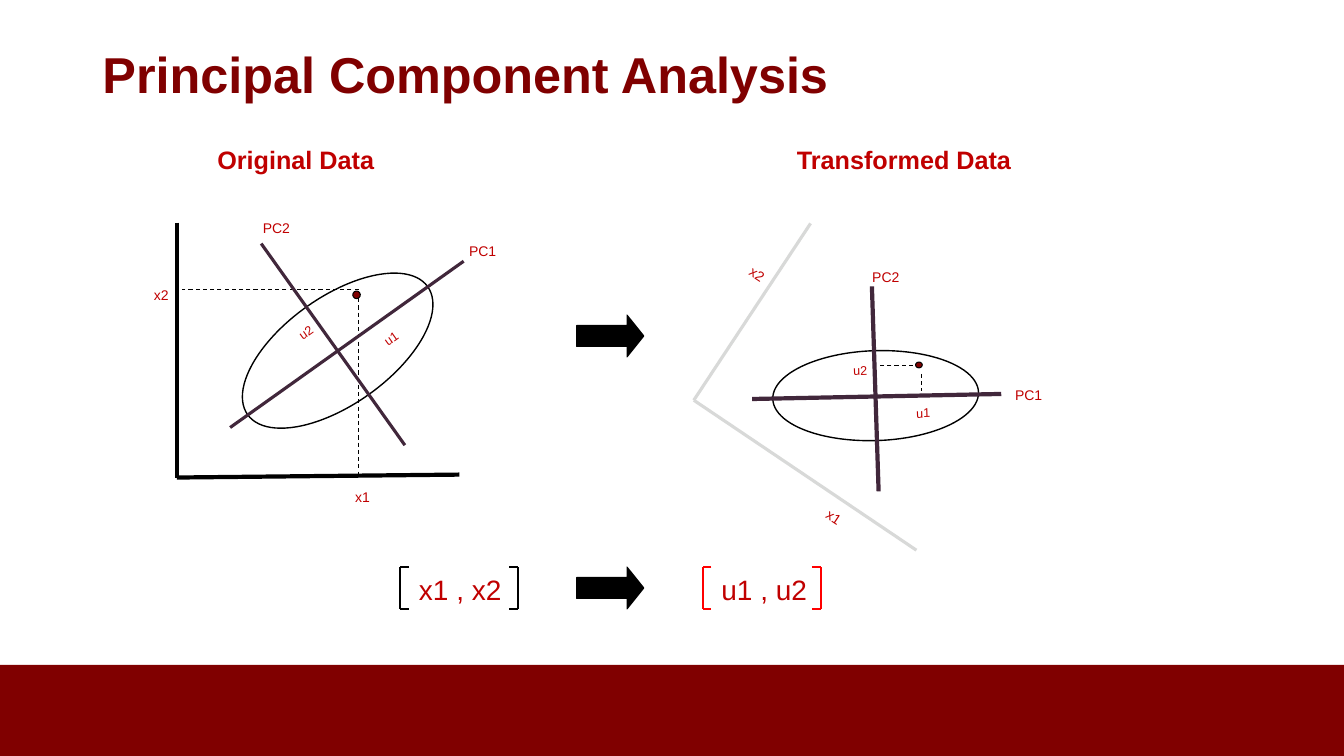
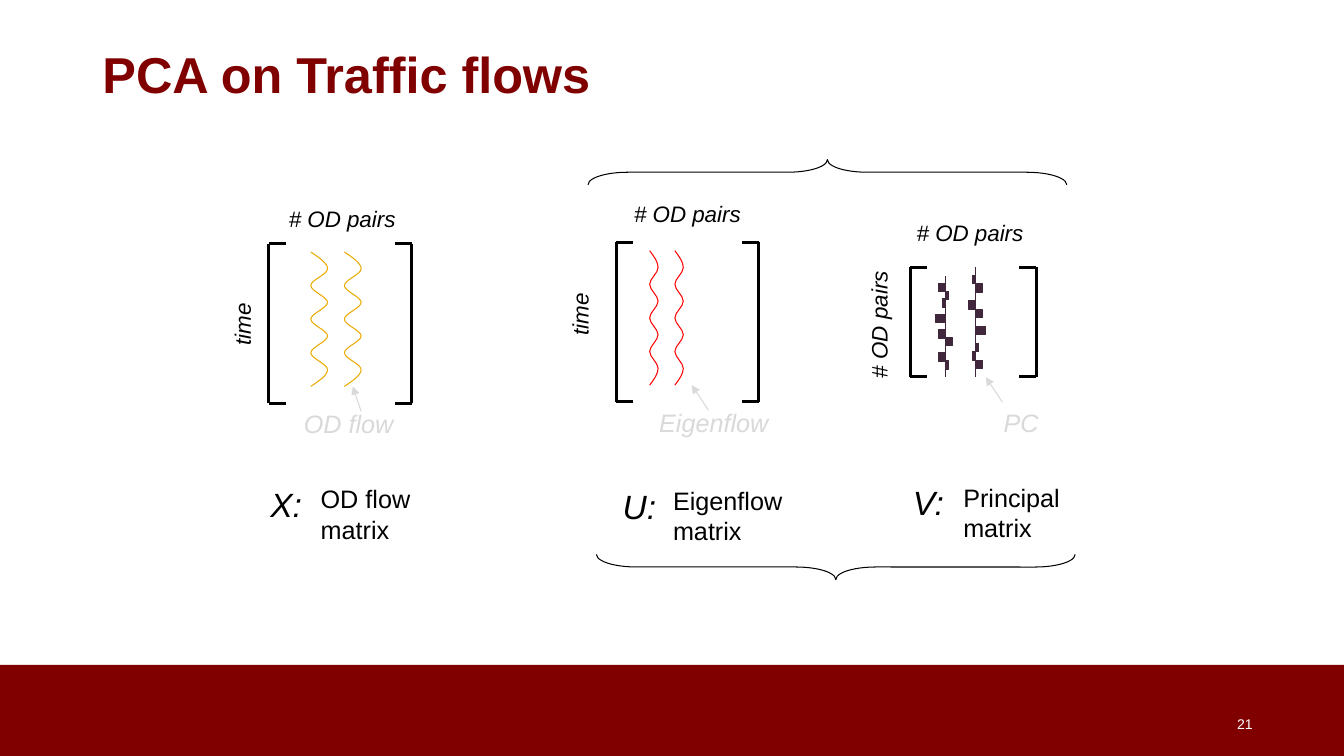
from itertools import pairwise

from lxml import etree
from pptx import Presentation
from pptx.dml.color import RGBColor
from pptx.enum.dml import MSO_LINE
from pptx.enum.shapes import MSO_CONNECTOR, MSO_SHAPE
from pptx.enum.text import MSO_ANCHOR, PP_ALIGN
from pptx.oxml.ns import qn
from pptx.util import Inches, Pt

WIDE, HIGH = 160, 90
CELL = Inches(7.5) / HIGH
FONT = "Arial"
MAROON, RED, BRIGHT = "800000", "C00000", "FF0000"
PLUM, GREY, GOLD = "41273B", "D8D9D8", "EAAA00"
BLACK, WHITE = "000000", "FFFFFF"
LEFT, MID, RIGHT = PP_ALIGN.LEFT, PP_ALIGN.CENTER, PP_ALIGN.RIGHT
TOP, CENTRE = MSO_ANCHOR.TOP, MSO_ANCHOR.MIDDLE
DASH, LINE = MSO_LINE.DASH, MSO_CONNECTOR.STRAIGHT
RECT, OVAL = MSO_SHAPE.RECTANGLE, MSO_SHAPE.OVAL
ARROW, BRACE = MSO_SHAPE.RIGHT_ARROW, MSO_SHAPE.RIGHT_BRACE
TILT, SLANT, LEAN = 324.6, 33.5, 358.1


def hue(code):
    """Turn a hex string into a colour."""
    return RGBColor.from_string(code)


def cells(*counts):
    """Turn counts of grid cells into lengths."""
    return [round(count * CELL) for count in counts]


def style(frame, words, size=10, color=BLACK, bold=False, italic=False,
          align=LEFT, anchor=TOP, wrap=False, inset=True):
    """Fill a text frame with formatted words."""
    frame.text = words
    frame.word_wrap = wrap
    frame.vertical_anchor = anchor
    if not inset:
        frame.margin_left = frame.margin_right = 0
        frame.margin_top = frame.margin_bottom = 0
    for para in frame.paragraphs:
        para.alignment = align
        font = para.font
        font.name, font.size = FONT, Pt(size)
        font.bold, font.italic = bold, italic
        font.color.rgb = hue(color)


def text(slide, words, box, turn=0, **look):
    """Add a text box."""
    item = slide.shapes.add_textbox(*cells(*box))
    item.rotation = turn
    style(item.text_frame, words, **look)


def tag(slide, words, x, y, wide=4, **look):
    """Add a short label centred on a point."""
    text(slide, words, (x - wide / 2, y - 1, wide, 2),
         align=MID, anchor=CENTRE, inset=False, **look)


def paint(item, fill=None, line=None, width=0.75):
    """Set the fill and outline of a shape."""
    item.shadow.inherit = False
    if fill:
        item.fill.solid()
        item.fill.fore_color.rgb = hue(fill)
    else:
        item.fill.background()
    if line:
        item.line.color.rgb = hue(line)
        item.line.width = Pt(width)
    else:
        item.line.fill.background()


def shape(slide, kind, box, turn=0, bends=(), **look):
    """Add a preset shape."""
    item = slide.shapes.add_shape(kind, *cells(*box))
    item.rotation = turn
    for index, bend in enumerate(bends):
        item.adjustments[index] = bend
    paint(item, **look)


def oval(slide, x, y, w, h, turn, **look):
    """Add a turned ellipse centred on a point."""
    shape(slide, OVAL, (x - w / 2, y - h / 2, w, h), turn, line=BLACK, **look)


def trace(slide, *spots, color=BLACK, width=0.75, dash=False, head=False):
    """Join a row of points with straight lines."""
    for start, end in pairwise(spots):
        link = slide.shapes.add_connector(LINE, *cells(*start, *end))
        link.line.color.rgb = hue(color)
        link.line.width = Pt(width)
        if dash:
            link.line.dash_style = DASH
        props = link.element.spPr
        if head:
            etree.SubElement(props.find(qn("a:ln")), qn("a:tailEnd"),
                             type="triangle")
        etree.SubElement(props, qn("a:effectLst"))


def hooks(slide, x, y, w, h, lip, **look):
    """Draw a pair of square brackets."""
    for side, inner in ((x, x + lip), (x + w, x + w - lip)):
        trace(slide, (inner, y), (side, y), (side, y + h), (inner, y + h),
              **look)


def curve(item):
    """Round the corners of a zigzag that runs down the slide."""
    spots = [(int(dot.get("x")), int(dot.get("y")))
             for dot in item.element.iter(qn("a:pt"))]
    legs = list(item.element.iter(qn("a:lnTo")))
    for leg, ((ax, ay), (bx, by)) in zip(legs, pairwise(spots)):
        third, half = (by - ay) // 3, (ax + bx) // 2
        near = half if leg is legs[0] else ax
        far = half if leg is legs[-1] else bx
        bend = etree.Element(qn("a:cubicBezTo"))
        for x, y in ((near, ay + third), (far, by - third), (bx, by)):
            etree.SubElement(bend, qn("a:pt"), x=str(x), y=str(y))
        leg.getparent().replace(leg, bend)


def wave(slide, x, y, w, color, count=8):
    """Draw a wave that runs down the slide."""
    spots = [cells(x + w * (turn % 2), y + 2 * turn)
             for turn in range(count + 1)]
    path = slide.shapes.build_freeform(*spots[0], scale=1.0)
    path.add_line_segments(spots[1:], close=False)
    item = path.convert_to_shape()
    curve(item)
    paint(item, line=color)


def bars(slide, x, top, end, first, step, sizes):
    """Draw signed bars on an upright axis."""
    trace(slide, (x, top), (x, end), color=PLUM)
    for row, size in enumerate(sizes):
        if size:
            box = (x + min(size, 0), first + row * step - 0.5, abs(size), 1)
            shape(slide, RECT, box, fill=PLUM, line=PLUM)


def base(deck, title):
    """Add a slide with its band and title."""
    slide = deck.slides.add_slide(deck.slide_layouts[5])
    shape(slide, RECT, (0, 79.15, WIDE, 10.85), fill=MAROON)
    head = slide.shapes.title
    head.left, head.top, head.width, head.height = cells(11, 0, 138, 17.4)
    style(head.text_frame, title, size=36, color=MAROON, bold=True,
          anchor=CENTRE, wrap=True)
    return slide


def source(slide):
    """Draw the data on its first axes."""
    trace(slide, (42.7, 35.5), (42.7, 56.5), dash=True)
    trace(slide, (42.7, 34.5), (21.7, 34.5), dash=True)
    trace(slide, (21.05, 26.5), (21.05, 56.85), (54.7, 56.5), width=3)
    oval(slide, 40.2, 41.75, 26.3, 12.8, TILT, width=1)
    trace(slide, (27.4, 50.9), (55.2, 31.1), color=PLUM, width=2.25)
    trace(slide, (31.1, 29), (48.2, 53), color=PLUM, width=2.25)
    oval(slide, 42.45, 35.1, 0.9, 0.9, TILT, fill=MAROON)


def result(slide):
    """Draw the data on its new axes."""
    trace(slide, (96.5, 26.6), (82.6, 47.65), (109.1, 65.5),
          color=GREY, width=2.25)
    oval(slide, 104.25, 47.1, 24.5, 10.7, LEAN, width=1)
    trace(slide, (103.8, 34.1), (104.6, 58.5), color=PLUM, width=3)
    trace(slide, (89.55, 47.5), (119.2, 46.9), color=PLUM, width=3)
    oval(slide, 109.4, 43.45, 0.8, 0.7, LEAN, fill=MAROON)
    trace(slide, (108.7, 43.5), (104.6, 43.5), dash=True)
    trace(slide, (109.7, 44.5), (109.7, 46.6), dash=True)


def change(deck):
    """Build the slide on the change of axes."""
    slide = base(deck, "Principal Component Analysis")
    source(slide)
    result(slide)
    for words, x, y, turn, size in (
            ("x1", 43.15, 59.1, 0, 10), ("x2", 19.2, 35.1, 0, 10),
            ("PC1", 57.45, 29.9, 0, 10), ("PC2", 32.9, 27.1, 0, 10),
            ("u1", 46.55, 40.3, TILT, 9), ("u2", 36.4, 39.55, TILT, 9),
            ("x1", 99.3, 61.5, SLANT, 10), ("x2", 90.15, 32.6, SLANT, 10),
            ("PC1", 122.45, 47, 0, 10), ("PC2", 105.45, 33, 0, 10),
            ("u1", 109.9, 49.15, LEAN, 9), ("u2", 102.4, 44.1, LEAN, 9)):
        tag(slide, words, x, y, turn=turn, size=size, color=RED)
    for words, x, w in (("Original Data", 24.7, 21.1),
                        ("Transformed Data", 93.7, 28.1)):
        text(slide, words, (x, 16.6, w, 4.8), size=18, color=RED, bold=True)
    for y in (37.5, 67.5):
        shape(slide, ARROW, (68.65, y, 8, 5), bends=(0.5, 0.4),
              fill=BLACK, line=BLACK)
    for words, x, color in (("x1 , x2", 47.65, BLACK),
                            ("u1 , u2", 83.65, BRIGHT)):
        text(slide, words, (x + 1.05, 67.6, 13, 5.2), size=20, color=RED)
        hooks(slide, x, 67.55, 14.05, 4.95, 1.05, color=color, width=1.5)


def panel(slide, frame, head, side, flow, arrow, name):
    """Draw one matrix with its labels and caption."""
    hooks(slide, *frame, 2, width=2.25)
    text(slide, "# OD pairs", (*head, 15.5, 4.4), size=16, italic=True)
    tag(slide, *side, wide=14, turn=270, size=16, italic=True)
    words, x, y = flow
    text(slide, words, (x, y, 18, 4.8), size=18, color=GREY, italic=True)
    trace(slide, *arrow, color=GREY, head=True)
    sign, words, x, y = name
    text(slide, sign, (x, y, 8, 6), size=24, italic=True)
    text(slide, words, (x + 6, y, 18, 8.4), size=18)


def flows(deck):
    """Build the slide on the three matrices."""
    slide = base(deck, "PCA on Traffic flows")
    text(slide, "21", (113, 83.8, 37.3, 4.8), color=WHITE, align=RIGHT,
         anchor=CENTRE, wrap=True)
    panel(slide, (32, 29, 17, 19), (33.2, 23.8), ("time", 28.8, 38.6),
          ("OD flow", 35, 48), ((43, 49), (42, 46)),
          ("X:", "OD flow\nmatrix", 31, 57))
    panel(slide, (73.35, 28.85, 17, 19), (74.3, 23.25), ("time", 69, 37.45),
          ("Eigenflow", 77.3, 47.9), ((84.35, 48.85), (82.35, 45.85)),
          ("U:", "Eigenflow\nmatrix", 72.95, 57.2))
    panel(slide, (108.35, 31.8, 15, 13.05), (107.95, 25.5),
          ("# OD pairs", 104.6, 38.65), ("PC", 118.3, 47.9),
          ((119.35, 47.9), (117.35, 44.9)),
          ("V:", "Principal\nmatrix", 107.5, 56.8))
    for x, y, w, color in ((37, 30, 2, GOLD), (41, 30, 2, GOLD),
                           (77.35, 29.85, 1, BRIGHT),
                           (80.35, 29.85, 1, BRIGHT)):
        wave(slide, x, y, w, color)
    bars(slide, 112.55, 32.9, 44.9, 34.25, 0.92,
         (-0.8, 0.4, -0.4, 0, -1.15, 0, -0.8, 0.8, 0, -0.8, 0.4))
    bars(slide, 116.15, 31.8, 44.9, 33.3, 1.01,
         (-0.4, 0.8, 0, -0.8, 0.8, 0, 1.15, 0, 0.4, -0.4, 0.8))
    for x, y, turn in ((97, -8, 270), (98, 39, 90)):
        shape(slide, BRACE, (x, y, 3, 57), turn, bends=(1.58, 0.5),
              line=BLACK)


def main():
    """Build and save the deck."""
    deck = Presentation()
    deck.slide_width, deck.slide_height = cells(WIDE, HIGH)
    change(deck)
    flows(deck)
    deck.save("out.pptx")


if __name__ == "__main__":
    main()
